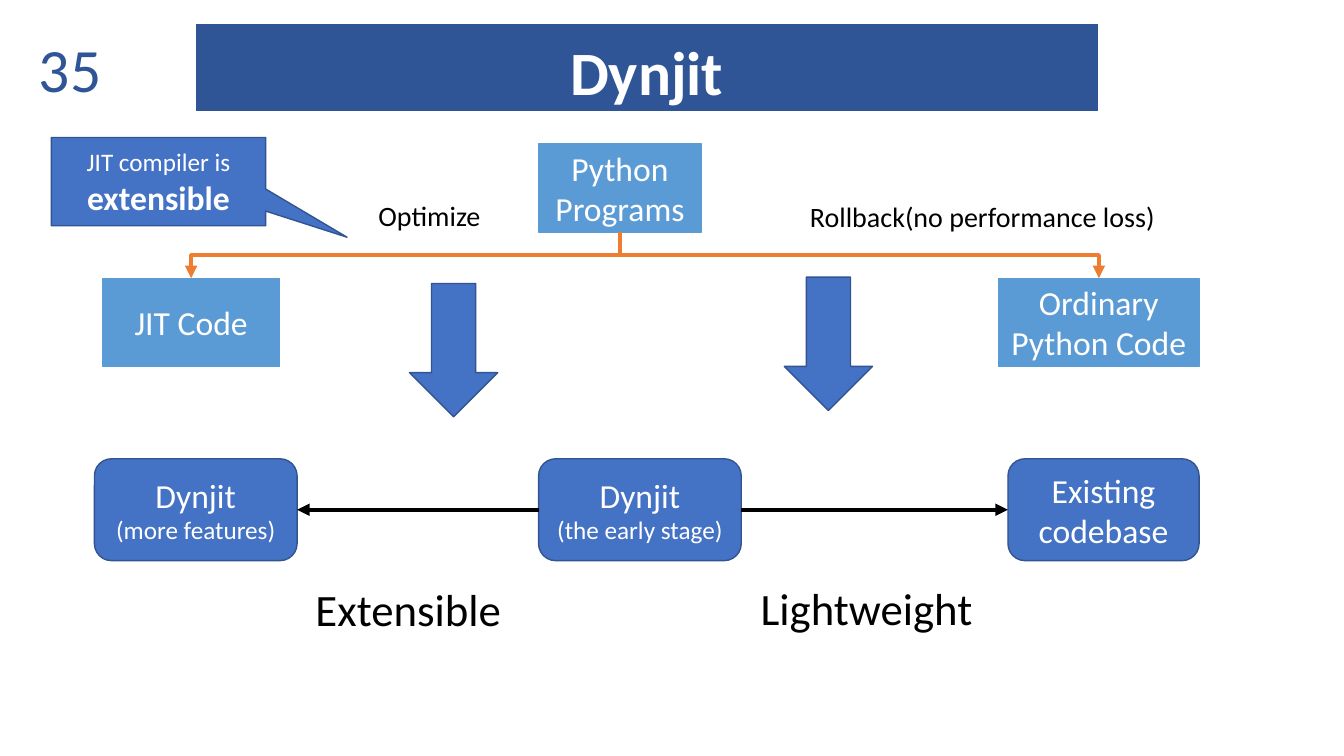
from lxml import etree
from pptx import Presentation
from pptx import util as u
from pptx.dml.color import RGBColor
from pptx.enum import shapes, text
from pptx.oxml.ns import qn

PX = 9525
TOP, LEFT, BOTTOM, RIGHT = range(4)
COLORS = {
    "navy": "2F5597",
    "blue": "4472C4",
    "edge": "325491",
    "sky": "5B9BD5",
    "orange": "ED7D31",
    "white": "FFFFFF",
    "black": "000000",
}


class Deck:
    font = "Calibri"

    def __init__(self, width, height):
        self.presentation = Presentation()
        self.presentation.slide_width = u.Emu(width * PX)
        self.presentation.slide_height = u.Emu(height * PX)
        self.slide = self.presentation.slides.add_slide(self.presentation.slide_layouts[5])

    def color(self, name):
        return RGBColor.from_string(COLORS[name])

    def box(self, values):
        return [u.Emu(value * PX) for value in values]

    def paint(self, shape, fill, line):
        shape.fill.solid()
        shape.fill.fore_color.rgb = self.color(fill)
        shape.line.color.rgb = self.color(line)
        shape.line.width = u.Pt(1)

    def fill_text(self, shape, paragraphs, color="white", align="CENTER", anchor="MIDDLE"):
        frame = shape.text_frame
        frame.word_wrap = True
        frame.vertical_anchor = text.MSO_ANCHOR[anchor]
        for index, runs in enumerate(paragraphs):
            paragraph = frame.add_paragraph() if index else frame.paragraphs[0]
            paragraph.alignment = text.PP_ALIGN[align]
            for words, size, bold in runs:
                run = paragraph.add_run()
                run.text = words
                run.font.name = self.font
                run.font.size = u.Pt(size)
                run.font.bold = bold
                run.font.color.rgb = self.color(color)

    def title(self, words, box):
        title = self.slide.shapes.title
        title.left, title.top, title.width, title.height = self.box(box)
        geometry = etree.SubElement(title._element.spPr, qn("a:prstGeom"), prst="roundRect")
        guides = etree.SubElement(geometry, qn("a:avLst"))
        etree.SubElement(guides, qn("a:gd"), name="adj", fmla="val 10000")
        self.paint(title, "navy", "white")
        self.fill_text(title, [[(words, 44, True)]], anchor="TOP")
        title.text_frame.auto_size = text.MSO_AUTO_SIZE.NONE
        title.text_frame.margin_top = u.Emu(10 * PX)

    def label(self, words, size, box, color="black", align="LEFT", anchor="TOP"):
        label = self.slide.shapes.add_textbox(*self.box(box))
        self.fill_text(label, [[(words, size, False)]], color, align, anchor)

    def shape(self, kind, box, paragraphs=(), fill="blue", line="edge", adjustments=()):
        shape = self.slide.shapes.add_shape(shapes.MSO_SHAPE[kind], *self.box(box))
        shape.shadow.inherit = False
        self.paint(shape, fill, line)
        for index, value in enumerate(adjustments):
            shape.adjustments[index] = value
        self.fill_text(shape, paragraphs)
        return shape

    def arrow(self, start, start_site, end, end_site, color, kind="STRAIGHT"):
        connector = self.slide.shapes.add_connector(shapes.MSO_CONNECTOR[kind], 0, 0, 0, 0)
        connector.begin_connect(start, start_site)
        connector.end_connect(end, end_site)
        connector.line.color.rgb = self.color(color)
        connector.line.width = u.Pt(3)
        properties = connector._element.spPr
        etree.SubElement(properties.find(qn("a:ln")), qn("a:tailEnd"), type="triangle")
        etree.SubElement(properties, qn("a:effectLst"))
        return connector

    def drop(self, start, end):
        connector = self.arrow(start, BOTTOM, end, TOP, "orange", "ELBOW")
        goes_right = connector.end_x > connector.begin_x
        left, top = connector.left, connector.top
        width, height = connector.width, connector.height
        connector.left = left + (width - height) // 2
        connector.top = top + (height - width) // 2
        connector.width, connector.height = height, width
        frame = connector._element.spPr.find(qn("a:xfrm"))
        frame.set("rot", "16200000" if goes_right else "5400000")
        frame.set("flipH", "1" if goes_right else "0")


def main():
    deck = Deck(1280, 720)
    deck.title("Dynjit", (186, 22, 860, 84))
    deck.label("35", 44, (-182, 46, 288, 38), "navy", "RIGHT", "MIDDLE")

    programs, jit_code, ordinary_code = [
        deck.shape("RECTANGLE", (left, top, width, 84), [[(words, 24, False)]], "sky", "sky")
        for words, left, top, width in (
            ("Python Programs", 513, 137, 155),
            ("JIT Code", 98, 265, 168),
            ("Ordinary Python Code", 951, 265, 191),
        )
    ]
    deck.drop(programs, jit_code)
    deck.drop(programs, ordinary_code)

    features, early_stage, codebase = [
        deck.shape("ROUNDED_RECTANGLE", (left, 437, width, 97), paragraphs)
        for left, width, paragraphs in (
            (90, 193, [[("Dynjit", 24, False)], [("(more features)", 18, False)]]),
            (513, 193, [[("Dynjit", 24, False)], [("(the early stage)", 18, False)]]),
            (960, 182, [[("Existing codebase", 24, False)]]),
        )
    ]
    deck.arrow(early_stage, RIGHT, codebase, LEFT, "black")
    deck.arrow(early_stage, LEFT, features, RIGHT, "black")

    for words, size, box in (
        ("Optimize", 20, (351, 184, 191, 42)),
        ("Rollback(no performance loss)", 20, (762, 185, 388, 42)),
        ("Extensible", 32, (291, 549, 274, 61)),
        ("Lightweight", 32, (715, 548, 274, 61)),
    ):
        deck.label(words, size, box)

    for left, top in ((390, 270), (747, 264)):
        deck.shape("DOWN_ARROW", (left, top, 84, 127))
    deck.shape(
        "RECTANGULAR_CALLOUT",
        (49, 131, 204, 84),
        [[("JIT compiler is ", 18, False), ("extensible", 24, True)]],
        adjustments=(0.88, 0.63),
    )
    deck.presentation.save("out.pptx")


if __name__ == "__main__":
    main()
